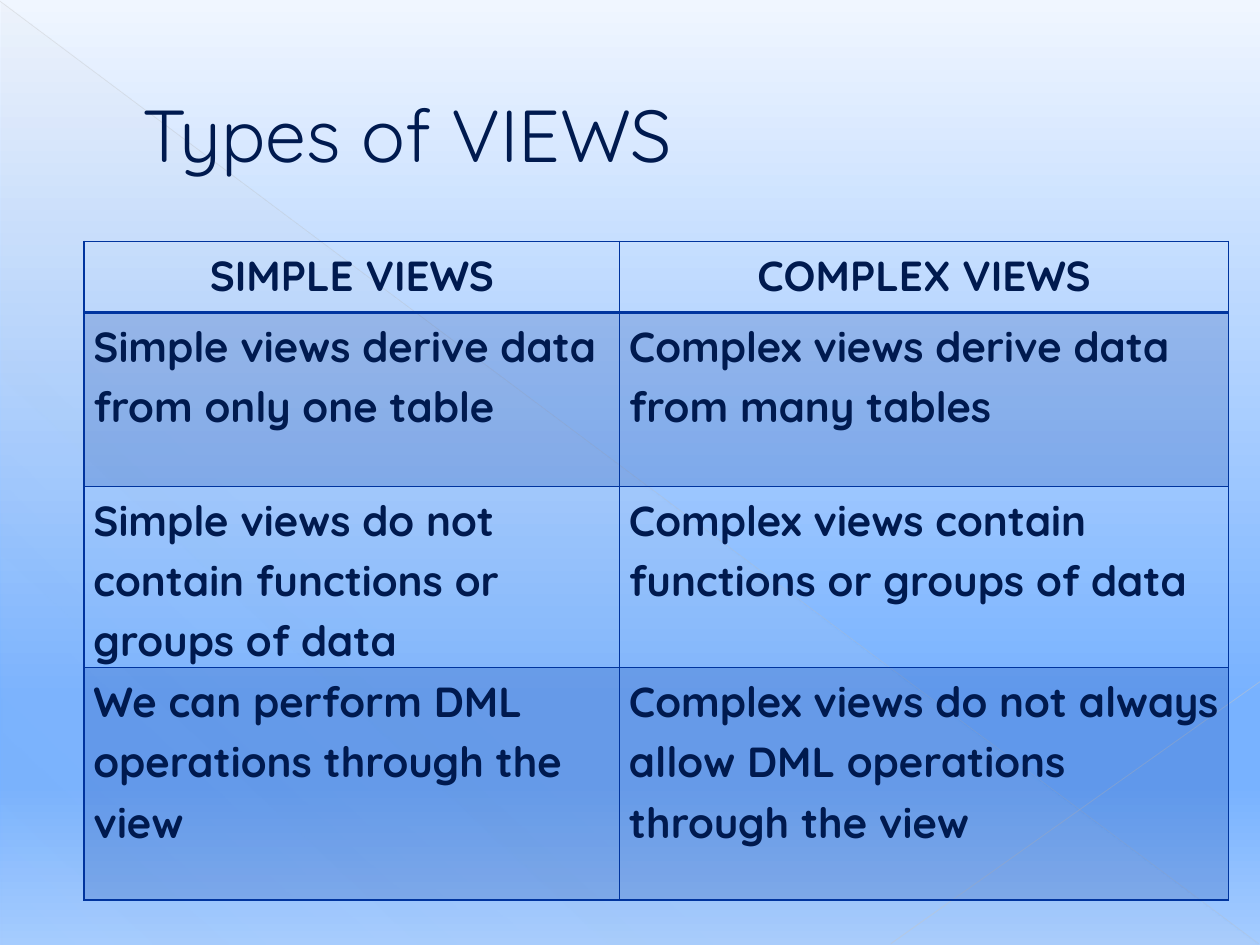
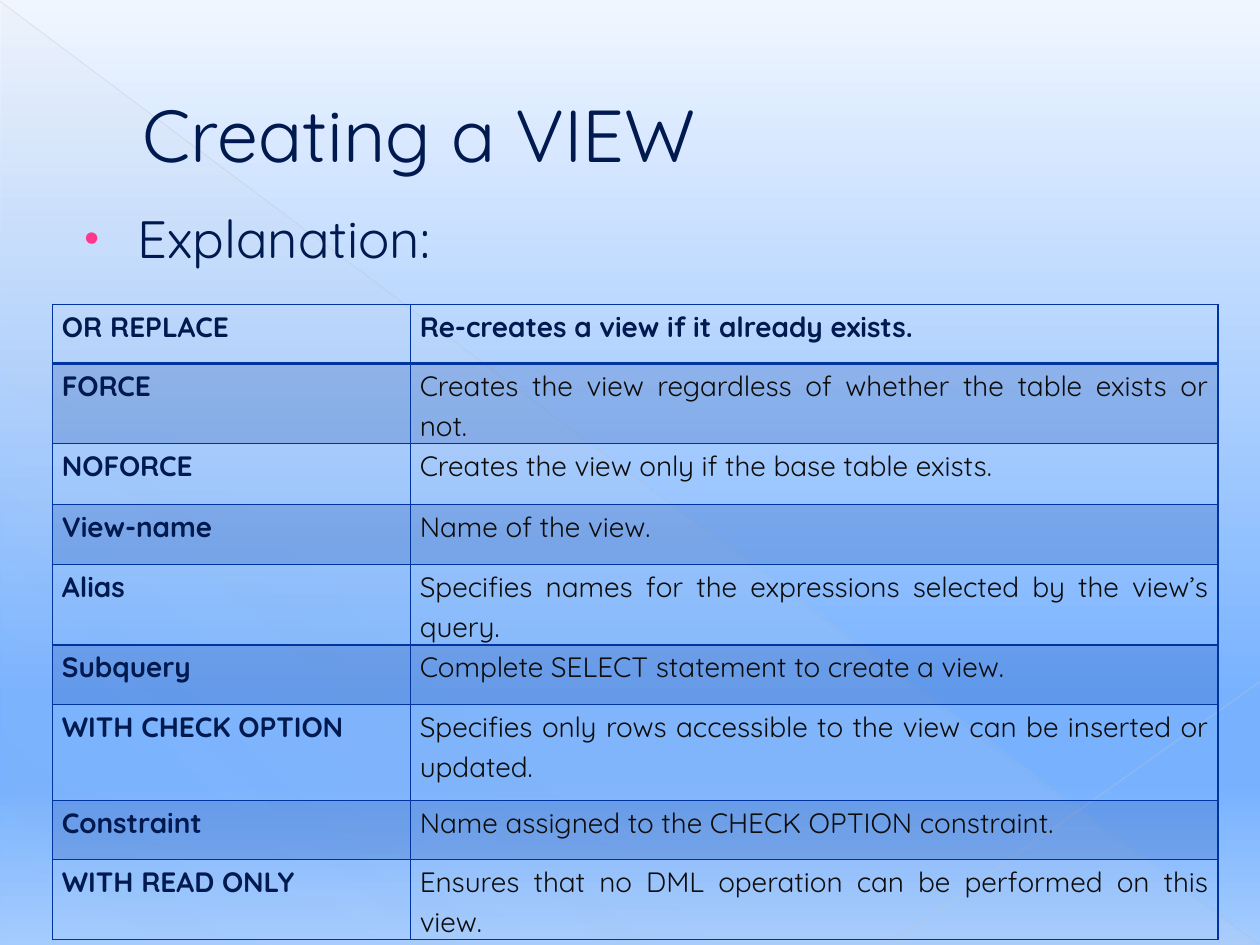
from lxml import etree
from pptx import Presentation
from pptx.dml.color import RGBColor
from pptx.enum.shapes import MSO_CONNECTOR, MSO_SHAPE
from pptx.enum.text import MSO_ANCHOR, PP_ALIGN
from pptx.oxml.ns import qn
from pptx.util import Inches, Pt

STRAIGHT = MSO_CONNECTOR.STRAIGHT
RIGHT_TRIANGLE = MSO_SHAPE.RIGHT_TRIANGLE
MIDDLE, TOP = MSO_ANCHOR.MIDDLE, MSO_ANCHOR.TOP
LEFT, CENTER, JUSTIFY = PP_ALIGN.LEFT, PP_ALIGN.CENTER, PP_ALIGN.JUSTIFY

FONT = "Quicksand"
NAVY = RGBColor(0x00, 0x1A, 0x4F)
INK = RGBColor(0x0D, 0x0D, 0x0D)
BLUE = RGBColor(0x00, 0x34, 0x9E)
PINK = RGBColor(0xFF, 0x38, 0x8C)
PLUM = RGBColor(0xB1, 0x27, 0x61)
PALE_SKY = RGBColor(0xF0, 0xF6, 0xFF)
SKY = RGBColor(0x78, 0xB2, 0xFF)
LIGHT_SKY = RGBColor(0xA5, 0xCC, 0xFF)
MIST = RGBColor(0xD2, 0xD2, 0xD2)
SILVER = RGBColor(0xBF, 0xBF, 0xBF)
GREY = RGBColor(0xC6, 0xC6, 0xC6)

# The slide is a grid of 100 columns by 75 rows of square units
SLIDE_W, SLIDE_H = Inches(10), Inches(7.5)
COLUMNS = 100
TITLE_BOX = (5, 2.9, 90, 15.3)
BODY_BOX = (5, 15.85, 90, 5.8)
CELL_INSET = Pt(5.4)

VIEW_TYPES = [
    ("SIMPLE VIEWS", "COMPLEX VIEWS"),
    ("Simple views derive data from only one table",
     "Complex views derive data from many tables"),
    ("Simple views do not contain functions or groups of data",
     "Complex views contain functions or groups of data"),
    ("We can perform DML operations through the view",
     "Complex views do not always allow DML operations through the view"),
]
VIEW_CLAUSES = [
    ("OR REPLACE", "Re-creates a view if it already exists."),
    ("FORCE", "Creates the view regardless of whether the table exists or not."),
    ("NOFORCE", "Creates the view only if the base table exists."),
    ("View-name", "Name of the view."),
    ("Alias", "Specifies names for the expressions selected by the view’s query."),
    ("Subquery", "Complete SELECT statement to create a view."),
    ("WITH CHECK OPTION",
     "Specifies only rows accessible to the view can be inserted or updated."),
    ("Constraint", "Name assigned to the CHECK OPTION constraint."),
    ("WITH READ ONLY",
     "Ensures that no DML operation can be performed on this view."),
]


def grid(*units):
    return [round(SLIDE_W * unit / COLUMNS) for unit in units]


def add_xml(parent, tag, **attributes):
    child = etree.SubElement(parent, qn(tag))
    for key, value in attributes.items():
        child.set(key, str(value))
    return child


def add_alpha(owner, percent):
    color = next(owner.iter(qn("a:srgbClr")))
    add_xml(color, "a:alpha", val=percent * 1000)


def set_gradient(fill, owner, stops, angle):
    """Stops are (position, colour, opacity), all but the colour in percent."""
    fill.gradient()
    fill.gradient_angle = 360 - angle
    stop_list = next(owner.iter(qn("a:gsLst")))
    for old_stop in list(stop_list):
        stop_list.remove(old_stop)
    for position, color, opacity in stops:
        stop = add_xml(stop_list, "a:gs", pos=position * 1000)
        add_xml(stop, "a:srgbClr", val=color)
        if opacity < 100:
            add_alpha(stop, opacity)


def style_text(paragraph, size, color, bold=False):
    font = paragraph.font
    font.name, font.size, font.bold = FONT, Pt(size), bold
    font.color.rgb = color


def set_indent(paragraph, margin, first_line):
    properties = paragraph._p.get_or_add_pPr()
    properties.set("marL", str(Inches(margin)))
    properties.set("indent", str(Inches(first_line)))
    return properties


def place(shape, box):
    shape.left, shape.top, shape.width, shape.height = grid(*box)


# Shared backdrop: sky gradient, pale triangle and two hairlines
def add_hairline(slide, ends, color, width, opacity):
    line = slide.shapes.add_connector(STRAIGHT, *grid(*ends))
    line.line.color.rgb = color
    line.line.width = Pt(width)
    add_alpha(line._element, opacity)
    add_xml(line._element.spPr, "a:effectLst")
    return line


def build_backdrop(master, slide):
    """Draw the backdrop on a slide, then move it behind all on the master."""
    set_gradient(master.background.fill, master.element,
                 [(0, PALE_SKY, 100), (74, SKY, 100),
                  (83, SKY, 100), (100, LIGHT_SKY, 100)], 90)
    triangle = slide.shapes.add_shape(RIGHT_TRIANGLE, *grid(0.1, 0.2, 99.8, 74.8))
    triangle.shadow.inherit = False
    triangle.line.fill.background()
    set_gradient(triangle.fill, triangle._element,
                 [(0, MIST, 10), (70, MIST, 8), (100, MIST, 1)], 133)
    long_hairline = add_hairline(slide, (0, 0.1, 99.9, 74.9), SILVER, 0.39, 35)
    corner_hairline = add_hairline(slide, (100, 54.1, 70.7, 74.9), GREY, 0.47, 45)
    for order, part in enumerate((triangle, long_hairline, corner_hairline)):
        next(part._element.iter(qn("p:cNvPr"))).set("id", str(100 + order))
        master.shapes.element.insert(2 + order, part._element)


# Title and bullet line
def fill_title(title, text):
    place(title, TITLE_BOX)
    title.text_frame.vertical_anchor = MIDDLE
    heading = title.text_frame.paragraphs[0]
    heading.text = text
    heading.alignment = LEFT
    set_indent(heading, 0.53, 0)
    style_text(heading, 42, NAVY)
    outline = add_xml(heading.runs[0]._r.get_or_add_rPr(), "a:ln", w=Pt(0.5))
    add_xml(add_xml(outline, "a:solidFill"), "a:srgbClr", val=PLUM)


def fill_bullet(body, text):
    place(body, BODY_BOX)
    bullet = body.text_frame.paragraphs[0]
    bullet.text = text
    properties = set_indent(bullet, 0.49, -0.42)
    add_xml(add_xml(properties, "a:buClr"), "a:srgbClr", val=PINK)
    add_xml(properties, "a:buSzPct", val=80000)
    add_xml(properties, "a:buChar", char="•")
    style_text(bullet, 30, NAVY)


# Tables: ruled cells, every second row tinted
def set_borders(cell, **widths):
    properties = cell._tc.get_or_add_tcPr()
    for order, side in enumerate("LRTB"):
        border = add_xml(properties, f"a:ln{side}", w=Pt(widths.get(side, 1)))
        add_xml(add_xml(border, "a:solidFill"), "a:srgbClr", val=BLUE)
        properties.insert(order, border)


def style_cell(cell, row):
    cell.margin_left = cell.margin_right = CELL_INSET
    cell.margin_top = cell.margin_bottom = 0
    cell.vertical_anchor = TOP
    if row % 2:
        cell.fill.solid()
        cell.fill.fore_color.rgb = BLUE
        add_alpha(cell._tc.tcPr, 20)
    else:
        cell.fill.background()
    header_rule = {0: {"B": 2}, 1: {"T": 2}}
    set_borders(cell, **header_rule.get(row, {}))


def add_ruled_table(slide, corner, widths, heights, entries, style_entry):
    """style_entry(paragraph, row, column) formats the text of one cell."""
    frame = slide.shapes.add_table(len(heights), len(widths), *grid(
        *corner, sum(widths), sum(heights)))
    table = frame.table
    table.first_row = table.horz_banding = False
    for column, width in zip(table.columns, grid(*widths)):
        column.width = width
    for row, height in zip(table.rows, grid(*heights)):
        row.height = height
    for row, texts in enumerate(entries):
        for column, text in enumerate(texts):
            cell = table.cell(row, column)
            style_cell(cell, row)
            entry = cell.text_frame.paragraphs[0]
            entry.text = text
            entry.line_spacing = 1.15
            style_entry(entry, row, column)


def style_view_type(entry, row, column):
    entry.alignment = LEFT if row else CENTER
    entry.space_after = Pt(10)
    style_text(entry, 24, NAVY, bold=True)


def style_clause(entry, row, column):
    entry.alignment = JUSTIFY
    is_term = row == 0 or column == 0
    style_text(entry, 16, NAVY if is_term else INK, bold=is_term)


# Slides
def build_types_slide(slide):
    fill_title(slide.shapes.title, "Types of VIEWS")
    add_ruled_table(slide, (6.67, 19.15), (42.5, 48.33), (5.65, 13.8, 13.8, 18.45),
                    VIEW_TYPES, style_view_type)


def build_creating_slide(slide):
    fill_title(slide.shapes.title, "Creating a VIEW")
    fill_bullet(slide.placeholders[1], "Explanation:")
    add_ruled_table(slide, (4.17, 24.15), (28.4, 64.1),
                    (4.7, 4.8, 4.85, 4.75, 4.75, 4.75, 7.6, 4.7, 4.8),
                    VIEW_CLAUSES, style_clause)


def main():
    deck = Presentation()
    deck.slide_width, deck.slide_height = SLIDE_W, SLIDE_H
    title_only, title_and_body = deck.slide_layouts[5], deck.slide_layouts[1]
    types_slide = deck.slides.add_slide(title_only)
    build_backdrop(deck.slide_master, types_slide)
    build_types_slide(types_slide)
    build_creating_slide(deck.slides.add_slide(title_and_body))
    deck.save("out.pptx")


if __name__ == "__main__":
    main()
